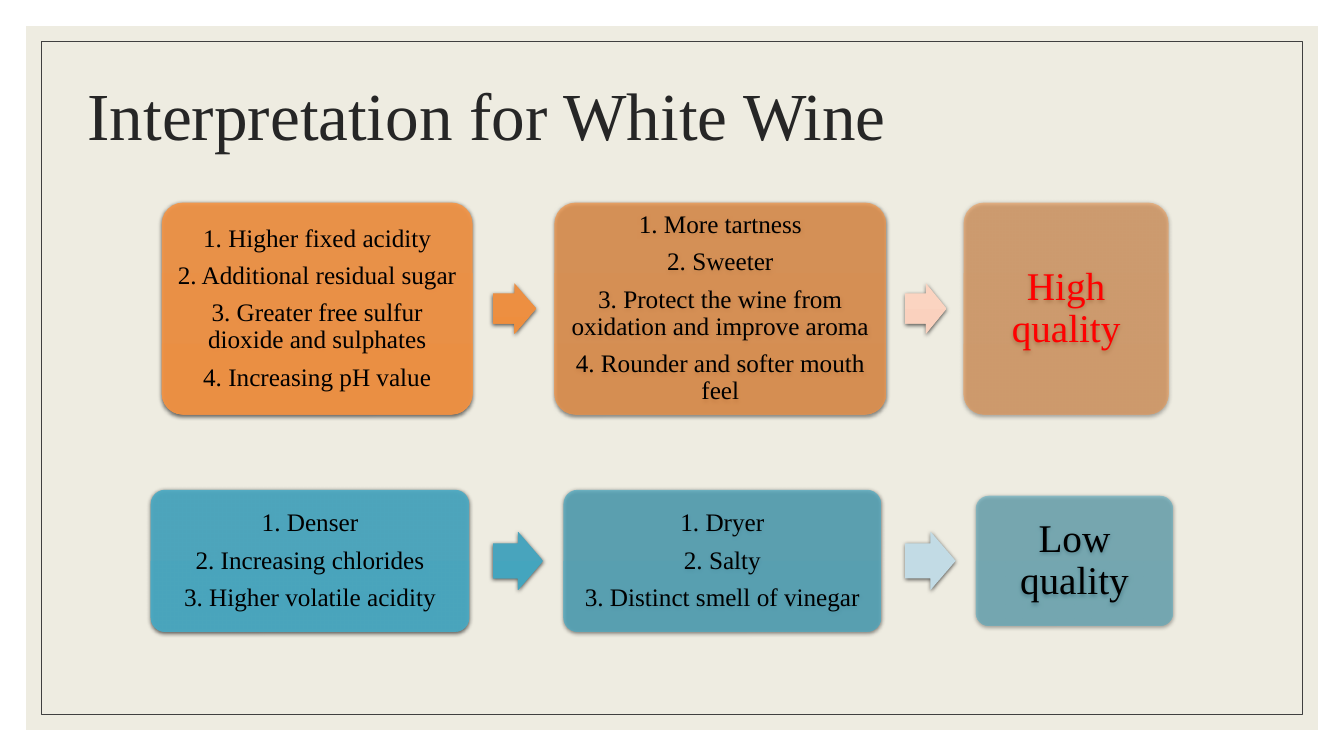
from dataclasses import dataclass
from lxml.etree import SubElement
from pptx import Presentation
from pptx.dml.color import RGBColor
from pptx.enum.shapes import MSO_SHAPE as Preset
from pptx.enum.text import MSO_ANCHOR as Anchor, PP_ALIGN as Align
from pptx.oxml.ns import qn
from pptx.util import Pt


@dataclass(frozen=True)
class Theme:
    """Colours, type sizes and font of the deck."""
    font: str = "Times New Roman"
    paper: str = "EEECE1"
    rule: str = "404040"
    title_ink: str = "262626"
    ink: str = "000000"
    alert: str = "FF0000"
    orange: tuple = ("F79646", "F99441")
    orange_arrows: tuple = (("EC8F43", "EE8E3E"), ("FBD4C1", "FAD1BE"))
    teal: tuple = ("4BACC6", "47ACC7")
    teal_arrows: tuple = (("48A4BD", "44A5BE"), ("C2DBE5", "BFD9E4"))
    opacities: tuple = (90, 70, 50)
    title_size: int = 48
    list_size: int = 18
    verdict_size: int = 28


class SlideBuilder:
    """Draws styled elements on the current slide."""

    def __init__(self, slide, theme):
        self.slide = slide
        self.theme = theme

    def shape(self, preset, left, top, width, height):
        """Add a preset shape without outline or shadow."""
        shape = self.slide.shapes.add_shape(
            preset, Pt(left), Pt(top), Pt(width), Pt(height))
        shape.shadow.inherit = False
        shape.line.fill.background()
        return shape

    def panel(self, margin, fill=None, line=None):
        """Add a rectangle inset evenly from the slide edges."""
        panel = self.shape(Preset.RECTANGLE, margin, margin,
                           960 - 2 * margin, 540 - 2 * margin)
        if fill:
            panel.fill.solid()
            panel.fill.fore_color.rgb = RGBColor.from_string(fill)
        else:
            panel.fill.background()
        if line:
            panel.line.color.rgb = RGBColor.from_string(line)
            panel.line.width = Pt(0.5)

    def glossy(self, preset, left, middle, width, height, colours, opacity=100):
        """Add a shadowed gradient shape centred on a row's middle line."""
        shape = self.shape(preset, left, middle - height / 2, width, height)
        shape.fill.gradient()
        shape.fill.gradient_angle = 270
        for stop, position, colour in zip(shape.fill.gradient_stops, (0, 1), colours):
            stop.position = position
            stop.color.rgb = RGBColor.from_string(colour)
        properties = shape._element.spPr
        if opacity < 100:
            for colour in properties.iter(qn("a:srgbClr")):
                SubElement(colour, qn("a:alpha"), val=str(opacity * 1000))
        shadow = SubElement(properties.find(qn("a:effectLst")), qn("a:outerShdw"),
                            blurRad=str(Pt(3)), dist=str(Pt(1)), dir="5400000",
                            algn="ctr", rotWithShape="0")
        black = SubElement(shadow, qn("a:srgbClr"), val="000000")
        SubElement(black, qn("a:alpha"), val="63000")
        return shape

    def text(self, frame, lines, size, colour, align, after=0):
        """Fill a text frame with one paragraph per line."""
        frame.word_wrap = True
        frame.vertical_anchor = Anchor.MIDDLE
        for index, line in enumerate(lines):
            para = frame.add_paragraph() if index else frame.paragraphs[0]
            para.alignment = align
            para.line_spacing = 0.9
            para.space_before = Pt(0)
            para.space_after = Pt(after)
            span = para.add_run()
            span.text = line
            span.font.name = self.theme.font
            span.font.size = Pt(size)
            span.font.color.rgb = RGBColor.from_string(colour)

    def title(self, text):
        """Place and fill the title placeholder above the panels."""
        title = self.slide.shapes.title
        title.left, title.top, title.width, title.height = (
            Pt(value) for value in (55.4, 32.4, 828, 104.4))
        self.text(title.text_frame, [text], self.theme.title_size,
                  self.theme.title_ink, Align.LEFT)
        self.slide.shapes._spTree.append(title._element)

    def box(self, left, middle, width, height, colours, opacity, lines, size, ink):
        """Add a rounded box with centred text."""
        box = self.glossy(Preset.ROUNDED_RECTANGLE, left, middle, width, height,
                          colours, opacity)
        box.adjustments[0] = 0.1
        frame = box.text_frame
        inset = Pt(size * 0.28)
        frame.margin_left = frame.margin_right = inset
        frame.margin_top = frame.margin_bottom = inset
        self.text(frame, lines, size, ink, Align.CENTER, size * 0.4)

    def arrow(self, left, middle, width, height, colours):
        """Add a right-pointing block arrow."""
        arrow = self.glossy(Preset.RIGHT_ARROW, left, middle, width, height, colours)
        arrow.adjustments[0] = 0.6

    def flow(self, middle, boxes, arrow_sizes, colours, arrow_colours, verdict_ink):
        """Add a row of boxes joined by arrows, ending in a verdict."""
        theme = self.theme
        styles = [(theme.list_size, theme.ink)] * 2 + [(theme.verdict_size, verdict_ink)]
        for (left, width, height, lines), opacity, (size, ink) in zip(
                boxes, theme.opacities, styles):
            self.box(left, middle, width, height, colours, opacity, lines, size, ink)
        for left, (width, height), pair in zip((352, 646.6), arrow_sizes, arrow_colours):
            self.arrow(left, middle, width, height, pair)


def main():
    """Build and save the wine interpretation slide."""
    deck = Presentation()
    deck.slide_width, deck.slide_height = Pt(960), Pt(540)
    theme = Theme()
    page = SlideBuilder(deck.slides.add_slide(deck.slide_layouts[5]), theme)
    page.panel(18.7, fill=theme.paper)
    page.panel(29.5, line=theme.rule)
    page.title("Interpretation for White Wine")

    high_quality = [
        (115.6, 222, 151.4, ["1. Higher fixed acidity", "2. Additional residual sugar",
                             "3. Greater free sulfur dioxide and sulphates",
                             "4. Increasing pH value"]),
        (396, 237, 151.4, ["1. More tartness", "2. Sweeter",
                           "3. Protect the wine from oxidation and improve aroma",
                           "4. Rounder and softer mouth feel"]),
        (688.3, 146.4, 151.4, ["High quality"]),
    ]
    low_quality = [
        (107.7, 227.5, 101.5, ["1. Denser", "2. Increasing chlorides",
                               "3. Higher volatile acidity"]),
        (402.5, 227, 101.5, ["1. Dryer", "2. Salty", "3. Distinct smell of vinegar"]),
        (697, 141, 93, ["Low quality"]),
    ]
    page.flow(220.4, high_quality, [(31, 36), (29.5, 36)],
              theme.orange, theme.orange_arrows, theme.alert)
    page.flow(400.6, low_quality, [(36, 41.8)] * 2,
              theme.teal, theme.teal_arrows, theme.ink)
    deck.save("out.pptx")


if __name__ == "__main__":
    main()
